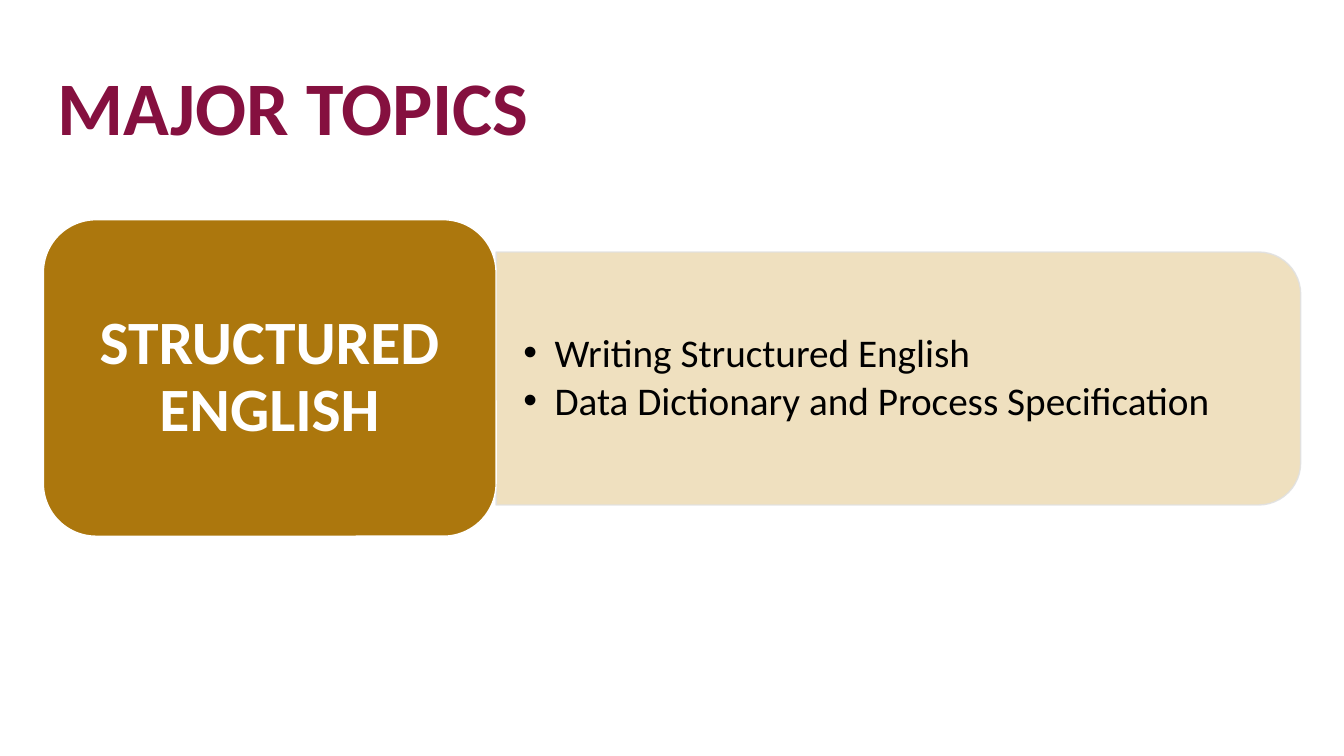
from dataclasses import dataclass

from lxml import etree
from pptx import Presentation
from pptx.dml.color import RGBColor
from pptx.enum import shapes, text
from pptx.oxml.ns import qn
from pptx.util import Inches, Pt


@dataclass(frozen=True)
class Theme:
    font: str = "Calibri"
    title_size: int = 54
    label_size: int = 44
    body_size: int = 28
    title: str = "85103F"
    label: str = "AC770D"
    panel: str = "EEDDB9"
    panel_line: str = "E1E1E1"
    white: str = "FFFFFF"
    black: str = "000000"


class SlideBuilder:
    def __init__(self, presentation, theme):
        self.theme = theme
        self.slide = presentation.slides.add_slide(presentation.slide_layouts[1])

    def place(self, shape, left, top, width, height):
        shape.left, shape.top = Inches(left), Inches(top)
        shape.width, shape.height = Inches(width), Inches(height)

    def set_frame(self, frame, anchor, horizontal, vertical):
        frame.word_wrap = True
        frame.auto_size = text.MSO_AUTO_SIZE.NONE
        frame.vertical_anchor = anchor
        frame.margin_left = frame.margin_right = Inches(horizontal)
        frame.margin_top = frame.margin_bottom = Inches(vertical)

    def style(self, paragraph, size, color, bold, alignment=text.PP_ALIGN.LEFT):
        paragraph.alignment = alignment
        paragraph.line_spacing = 0.9
        paragraph.space_before = Pt(0)
        font = paragraph.font
        font.name, font.size, font.bold = self.theme.font, Pt(size), bold
        font.color.rgb = RGBColor.from_string(color)

    def title(self, words, *box):
        title = self.slide.shapes.title
        self.place(title, *box)
        title.text_frame.text = words
        self.set_frame(title.text_frame, text.MSO_ANCHOR.TOP, 0.1, 0.05)
        self.style(title.text_frame.paragraphs[0], self.theme.title_size,
                   self.theme.title, True)

    def block(self, kind, box, fill, line, opacity=100):
        shape = self.slide.shapes.add_shape(kind, *map(Inches, box))
        shape.shadow.inherit = False
        shape.fill.solid()
        shape.fill.fore_color.rgb = RGBColor.from_string(fill)
        shape.line.color.rgb = RGBColor.from_string(line)
        shape.line.width = Pt(1)
        if opacity < 100:
            for color in shape._element.spPr.iter(qn("a:srgbClr")):
                etree.SubElement(color, qn("a:alpha"), val=str(opacity * 1000))
        return shape

    def panel(self, left, top, width, height):
        """Draw a panel rounded on its right side: a top-rounded shape turned by 90°."""
        shift = (width - height) / 2
        box = (left + shift, top - shift, height, width)
        shape = self.block(shapes.MSO_SHAPE.ROUND_2_SAME_RECTANGLE, box,
                           self.theme.panel, self.theme.panel_line, 90)
        shape.rotation = 90

    def label(self, words, *box):
        shape = self.block(shapes.MSO_SHAPE.ROUNDED_RECTANGLE, box,
                           self.theme.label, self.theme.white)
        shape.text_frame.text = words
        self.set_frame(shape.text_frame, text.MSO_ANCHOR.MIDDLE, 0.34, 0.25)
        self.style(shape.text_frame.paragraphs[0], self.theme.label_size,
                   self.theme.white, True, text.PP_ALIGN.CENTER)

    def bullets(self, items, *box):
        body = self.slide.placeholders[1]
        self.place(body, *box)
        self.slide.shapes._spTree.append(body._element)  # in front of the panel
        frame = body.text_frame
        frame.text = "\n".join(items)
        self.set_frame(frame, text.MSO_ANCHOR.MIDDLE, 0.27, 0.14)
        for paragraph in frame.paragraphs:
            properties = paragraph._p.get_or_add_pPr()
            properties.set("marL", str(Inches(0.31)))
            properties.set("indent", str(Inches(-0.31)))
            etree.SubElement(properties, qn("a:buChar"), char="•")
            self.style(paragraph, self.theme.body_size, self.theme.black, False)
            paragraph.space_after = Pt(4)


def main():
    presentation = Presentation()
    presentation.slide_width, presentation.slide_height = Inches(13.33), Inches(7.5)
    builder = SlideBuilder(presentation, Theme())
    builder.title("MAJOR TOPICS", 0.47, 0.65, 11.5, 1.06)
    builder.panel(4.92, 2.5, 7.98, 2.51)
    builder.label("STRUCTURED ENGLISH", 0.43, 2.18, 4.49, 3.14)
    builder.bullets(["Writing Structured English",
                     "Data Dictionary and Process Specification"],
                    4.92, 2.62, 7.86, 2.27)
    presentation.save("out.pptx")


if __name__ == "__main__":
    main()
